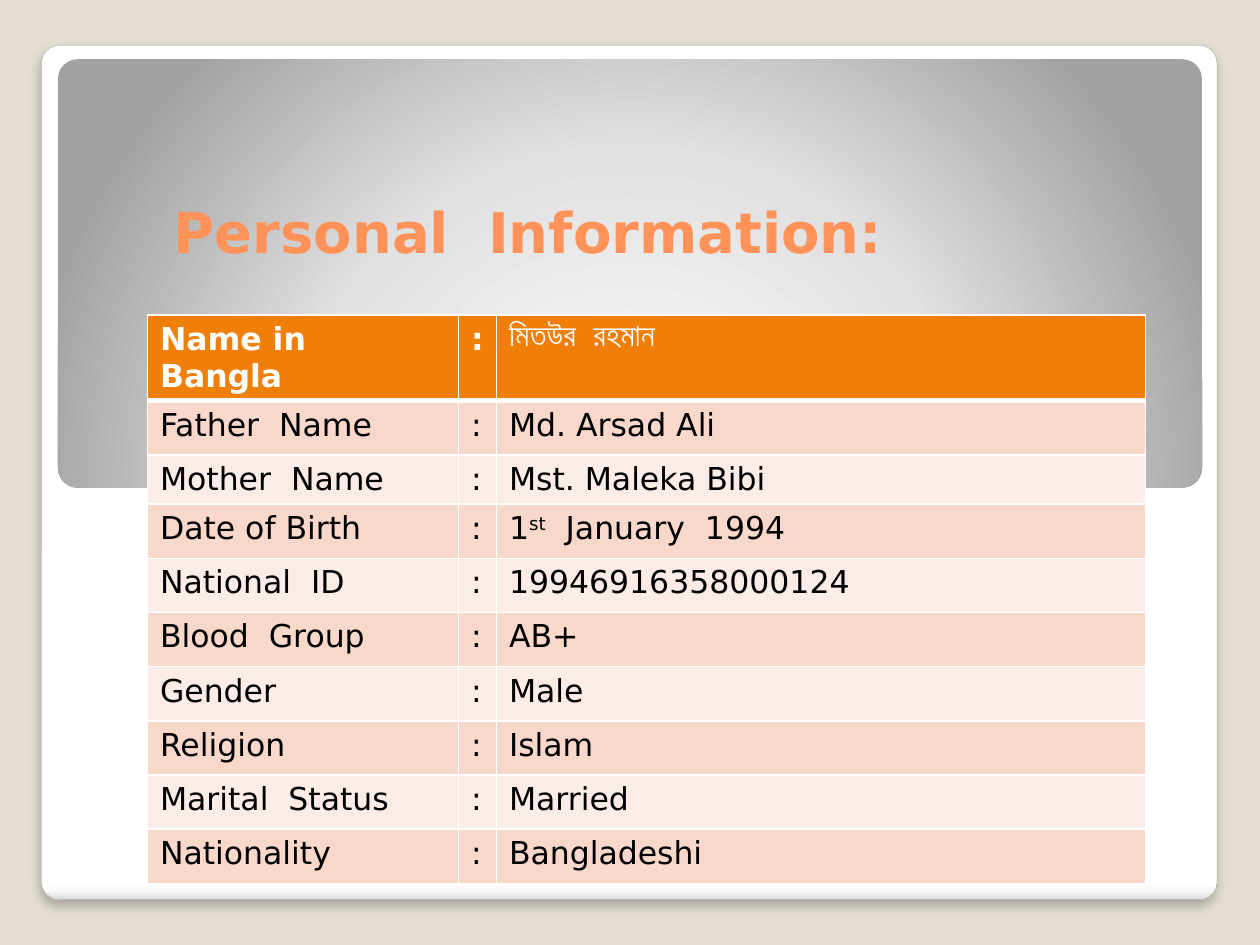
"""Build the personal information slide."""
from lxml import etree
from pptx import Presentation
from pptx.dml.color import RGBColor
from pptx.enum import shapes, text
from pptx.oxml import ns, parse_xml
from pptx.util import Inches, Pt

FIELDS = [
    ("Name in  Bangla", "মিতউর  রহমান"),
    ("Father  Name", "Md. Arsad Ali"),
    ("Mother  Name", "Mst. Maleka Bibi"),
    ("Date of Birth", ("1", "st", "  January  1994")),
    ("National  ID", "19946916358000124"),
    ("Blood  Group", "AB+"),
    ("Gender", "Male"),
    ("Religion", "Islam"),
    ("Marital  Status", "Married"),
    ("Nationality", "Bangladeshi"),
]
LINEAR = '<a:lin ang="5400000" scaled="0"/>'
RADIAL = ('<a:path path="circle"><a:fillToRect l="50000" t="175000" '
          'r="50000" b="-75000"/></a:path>')


def rgb(value):
    return RGBColor.from_string(value)


def apply(target, values):
    for name, value in values.items():
        setattr(target, name, value)


def element(tag, attrs="", body=""):
    return parse_xml(f'<a:{tag} {ns.nsdecls("a")} {attrs}>{body}</a:{tag}>')


class Deck:
    """Hold the style and the current slide."""

    font = "DejaVu Sans"

    def __init__(self):
        self.prs = Presentation()
        apply(self.prs, {"slide_width": Inches(10), "slide_height": Inches(7.5)})
        self.s = self.prs.slides.add_slide(self.prs.slide_layouts[0])
        fill = self.s.background.fill
        fill.solid()
        fill.fore_color.rgb = rgb("E3DED1")
        sub = self.s.placeholders[1].element
        sub.getparent().remove(sub)

    def run(self, p, content, size, color, bold):
        r = p.add_run()
        r.text = content
        apply(r.font, {"name": self.font, "size": Pt(size), "bold": bold})
        r.font.color.rgb = rgb(color)
        return r

    def panel(self, box, corner, stops, direction, line=None, shadow=False):
        sp = self.s.shapes.add_shape(
            shapes.MSO_SHAPE.ROUNDED_RECTANGLE, *map(Inches, box))
        sp.adjustments[0] = corner
        sp.shadow.inherit = False
        marks = "".join(
            f'<a:gs pos="{pos * 1000}"><a:srgbClr val="{color}"/></a:gs>'
            for pos, color in stops)
        props = sp.element.spPr
        props.find(ns.qn("a:prstGeom")).addnext(
            element("gradFill", 'rotWithShape="1"',
                    f"<a:gsLst>{marks}</a:gsLst>{direction}"))
        if line:
            sp.line.color.rgb = rgb(line)
            sp.line.width = Pt(0.16)
        else:
            sp.line.fill.background()
        if shadow:
            outer = etree.SubElement(
                props.find(ns.qn("a:effectLst")), ns.qn("a:outerShdw"),
                blurRad=str(Pt(6)), dist=str(Pt(4)), dir="5400000",
                algn="t", rotWithShape="0")
            color = etree.SubElement(outer, ns.qn("a:srgbClr"), val="000000")
            etree.SubElement(color, ns.qn("a:alpha"), val="25000")

    def title(self, content, box):
        sp = self.s.shapes.title
        names = ("left", "top", "width", "height")
        apply(sp, dict(zip(names, map(Inches, box))))
        tf = sp.text_frame
        apply(tf, {"margin_left": Inches(0.05), "margin_right": Inches(0.05),
                   "margin_top": Inches(0.05), "margin_bottom": Inches(0.57),
                   "vertical_anchor": text.MSO_ANCHOR.BOTTOM,
                   "auto_size": text.MSO_AUTO_SIZE.NONE, "word_wrap": True})
        p = tf.paragraphs[0]
        p.alignment = text.PP_ALIGN.LEFT
        self.run(p, content, 32, "FF9258", True)

    def cell(self, cell, parts, fill, header):
        cell.fill.solid()
        cell.fill.fore_color.rgb = rgb(fill)
        p = cell.text_frame.paragraphs[0]
        color = "FFFFFF" if header else "000000"
        parts = (parts,) if isinstance(parts, str) else parts
        for i, part in enumerate(parts):
            r = self.run(p, part, 18, color, header)
            if i == 1:
                r.font._element.set("baseline", "30000")
        props = cell._tc.get_or_add_tcPr()
        white = '<a:solidFill><a:srgbClr val="FFFFFF"/></a:solidFill>'
        for i, side in enumerate("LRTB"):
            width = Pt(3 if header and side == "B" else 1)
            props.insert(i, element(f"ln{side}", f'w="{width}"', white))

    def table(self, fields, box, widths, heights):
        frame = self.s.shapes.add_table(
            len(fields), len(widths), *map(Inches, box))
        table = frame.table
        for column, width in zip(table.columns, widths):
            column.width = Inches(width)
        for row, height in zip(table.rows, heights):
            row.height = Inches(height)
        for i, (label, value) in enumerate(fields):
            fill = ("FCECE7", "F9D8CC")[i % 2] if i else "F07F09"
            for j, parts in enumerate((label, ":", value)):
                self.cell(table.cell(i, j), parts, fill, i == 0)


def main():
    deck = Deck()
    deck.panel((0.33, 0.36, 9.33, 6.78), 0.021,
               [(0, "FFFFFF"), (98, "FFFFFF"), (99, "F7F7F7"), (100, "DADADA")],
               LINEAR, line="A4A4A4", shadow=True)
    deck.panel((0.46, 0.47, 9.08, 3.4), 0.046,
               [(0, "FFFFFF"), (55, "E1E1E1"), (100, "A2A2A2")], RADIAL)
    title = deck.s.shapes.title.element
    title.getparent().append(title)
    deck.title("Personal  Information:", (1.33, 1, 7.25, 1.67))
    heights = [0.37 if label.startswith("Mother") else 0.43
               for label, _ in FIELDS]
    deck.table(FIELDS, (1.17, 2.5, 7.92, 4.55), (2.47, 0.3, 5.15), heights)
    deck.prs.save("out.pptx")


if __name__ == "__main__":
    main()
